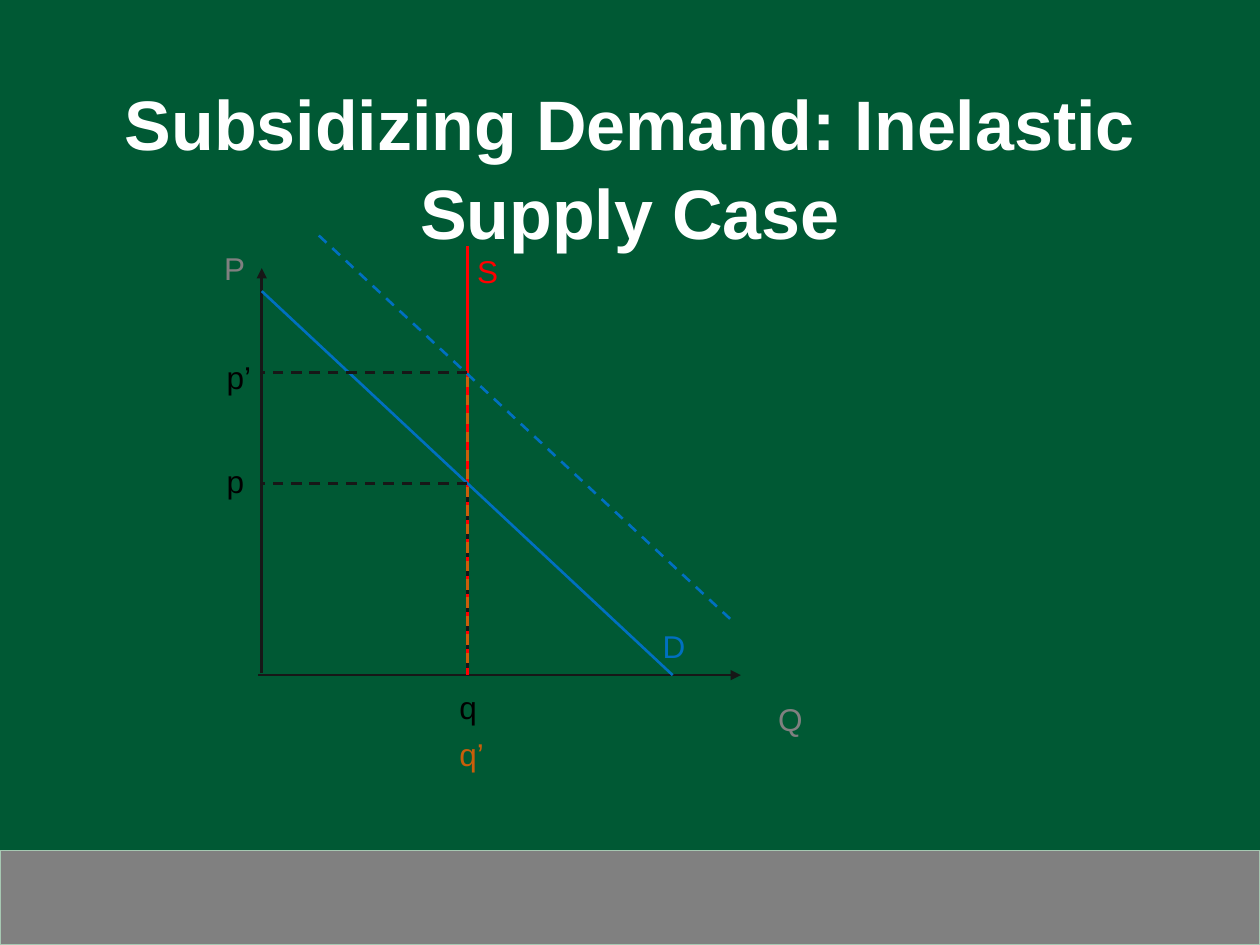
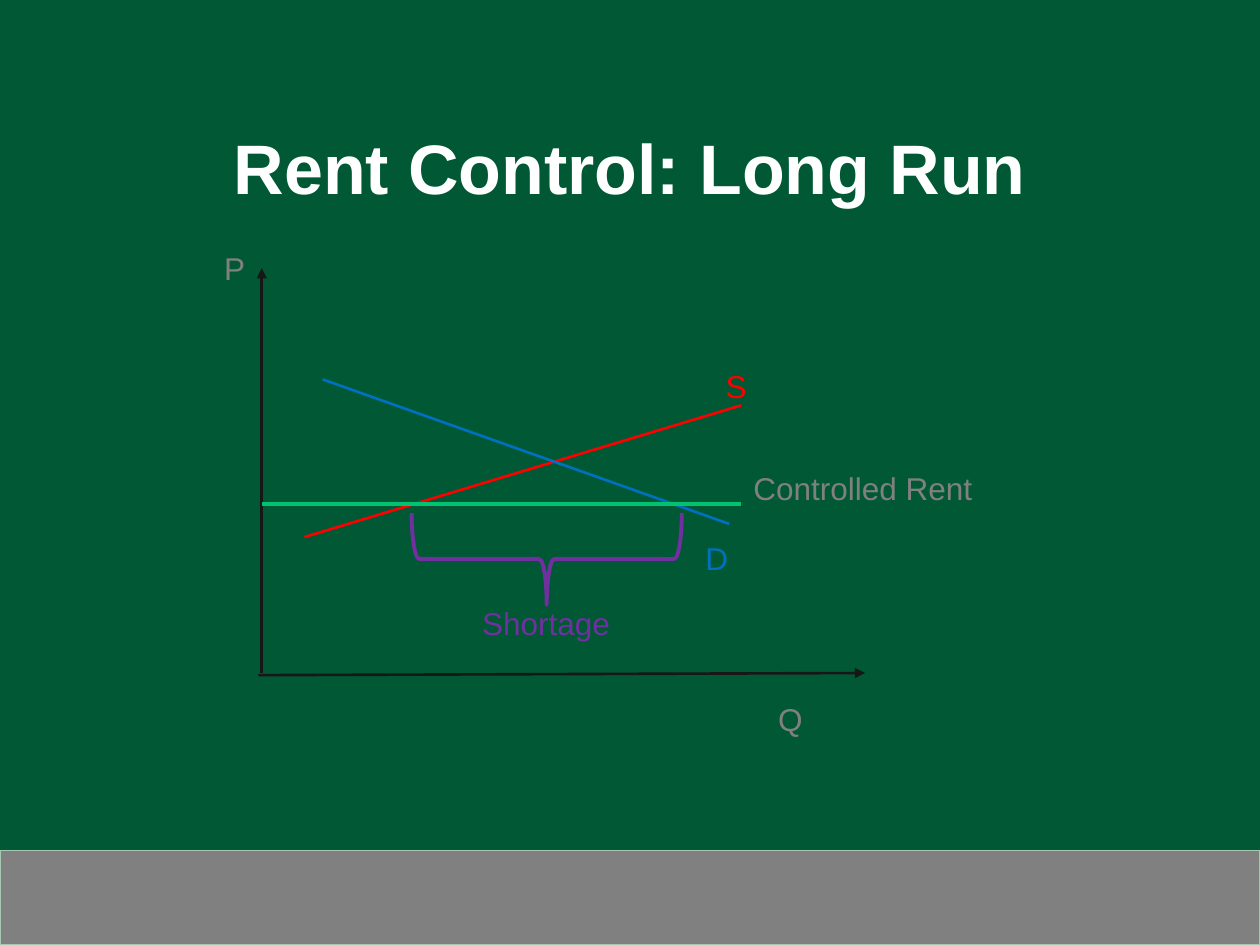
"""Build two supply and demand slides: a demand subsidy and long run rent control."""
import pptx
import pptx.util
import pptx.dml.color
import pptx.enum.dml
import pptx.enum.shapes
import pptx.enum.text
import lxml.etree
import dataclasses

Pt = pptx.util.Pt
Rgb = pptx.dml.color.RGBColor.from_string


@dataclasses.dataclass(frozen=True)
class Theme:
    back: str = "005934"
    band: str = "808080"
    edge: str = "A6C8B2"
    white: str = "FFFFFF"
    black: str = "000000"
    dark: str = "171717"
    grey: str = "808080"
    red: str = "FF0000"
    blue: str = "0070C0"
    rust: str = "CA5E0A"
    green: str = "00C271"
    plum: str = "7030A0"
    font: str = "Arial"
    head: int = 40
    text: int = 18
    thin: float = 1.5
    bold: float = 2.25


look = Theme()


def draw(slide, start, end, tone, width=look.thin, dash=False, arrow=False):
    line = slide.shapes.add_connector(
        pptx.enum.shapes.MSO_CONNECTOR.STRAIGHT, *map(Pt, start + end))
    line.line.color.rgb = Rgb(tone)
    line.line.width = Pt(width)
    if dash:
        line.line.dash_style = pptx.enum.dml.MSO_LINE.DASH
    if arrow:
        tail = pptx.oxml.ns.qn("a:tailEnd")
        lxml.etree.SubElement(line.line._get_or_add_ln(), tail, type="triangle")
    lxml.etree.SubElement(line._element.spPr, pptx.oxml.ns.qn("a:effectLst"))


def label(slide, text, left, top, width, tone, wrap=True):
    box = slide.shapes.add_textbox(Pt(left), Pt(top), Pt(width), Pt(29))
    frame = box.text_frame
    frame.word_wrap = wrap
    frame.auto_size = pptx.enum.text.MSO_AUTO_SIZE.SHAPE_TO_FIT_TEXT
    para = frame.paragraphs[0]
    para.text = text
    para.font.name = look.font
    para.font.size = Pt(look.text)
    para.font.color.rgb = Rgb(tone)


deck = pptx.Presentation()
deck.slide_width, deck.slide_height = Pt(720), Pt(540)
fill = deck.slide_master.background.fill
fill.solid()
fill.fore_color.rgb = Rgb(look.back)

left, base = 149.6, 385.8
plans = [
    ("Subsidizing Demand: Inelastic Supply Case", (423.4, base)),
    ("Rent Control: Long Run", (494.4, 384.6)),
]
slides = []
for name, tip in plans:
    slide = deck.slides.add_slide(deck.slide_layouts[5])
    slides.append(slide)

    title = slide.shapes.title
    title.left, title.top, title.width, title.height = map(Pt, (54, 48, 612, 90))
    frame = title.text_frame
    frame.text = name
    frame.word_wrap = True
    frame.auto_size = pptx.enum.text.MSO_AUTO_SIZE.NONE
    frame.vertical_anchor = pptx.enum.text.MSO_ANCHOR.MIDDLE
    frame.margin_top = Pt(6)
    para = frame.paragraphs[0]
    para.alignment = pptx.enum.text.PP_ALIGN.CENTER
    para.line_spacing = 1.05
    para.font.name = look.font
    para.font.size = Pt(look.head)
    para.font.bold = True
    para.font.color.rgb = Rgb(look.white)

    band = slide.shapes.add_shape(
        pptx.enum.shapes.MSO_SHAPE.RECTANGLE, 0, Pt(486), Pt(720), Pt(54))
    band.shadow.inherit = False
    band.fill.solid()
    band.fill.fore_color.rgb = Rgb(look.band)
    band.line.color.rgb = Rgb(look.edge)
    band.line.width = Pt(0.75)

    draw(slide, (left, 384.6), (left, 153.2), look.dark, arrow=True)
    draw(slide, (147.6, base), tip, look.dark, arrow=True)
    label(slide, "P", 121, 138.5, 26.6, look.grey, wrap=False)
    label(slide, "Q", 437.6, 396.5, 28.8, look.grey, wrap=False)

grant, rent = slides

mid, low, high = 267, 276.4, 213
draw(grant, (mid, base), (mid, 140.4), look.red)
draw(grant, (left, 166.4), (384.4, base), look.blue)
draw(grant, (182.2, 134.6), (417.2, 353.6), look.blue, dash=True)
draw(grant, (mid, 280.8), (mid, 382.4), look.dark, dash=True)
draw(grant, (mid, 215.2), (mid, 380.2), look.rust, dash=True)
for level in (low, high):
    draw(grant, (mid, level), (left, level), look.dark, dash=True)
for text, x, y, width, tone in [
    ("D", 371.5, 355, 27.4, look.blue),
    ("S", 265.6, 140.2, 44, look.red),
    ("q", 255.4, 389.6, 54.7, look.black),
    ("q’", 255.4, 416.4, 54.7, look.rust),
    ("p", 122.4, 260.6, 54.7, look.black),
    ("p’", 122.4, 200.8, 54.7, look.black),
]:
    label(grant, text, x, y, width, tone)

draw(rent, (174, 306.9), (423.4, 231.7), look.red)
draw(rent, (184.4, 216.8), (416.8, 299.4), look.blue)
draw(rent, (left, 288), (423.4, 288), look.green, look.bold)
brace = rent.shapes.add_shape(
    pptx.enum.shapes.MSO_SHAPE.RIGHT_BRACE, Pt(286.2), Pt(242.2), Pt(52.4), Pt(154.4))
brace.rotation = 90
brace.shadow.inherit = False
brace.fill.background()
brace.line.color.rgb = Rgb(look.plum)
brace.line.width = Pt(look.bold)
for text, x, y, width, tone, wrap in [
    ("D", 396, 304.6, 54, look.blue, True),
    ("S", 407.6, 206.4, 59, look.red, True),
    ("Controlled Rent", 423.4, 264.4, 141, look.grey, False),
    ("Shortage", 268.4, 341.4, 88.6, look.plum, False),
]:
    label(rent, text, x, y, width, tone, wrap)

deck.save("out.pptx")
